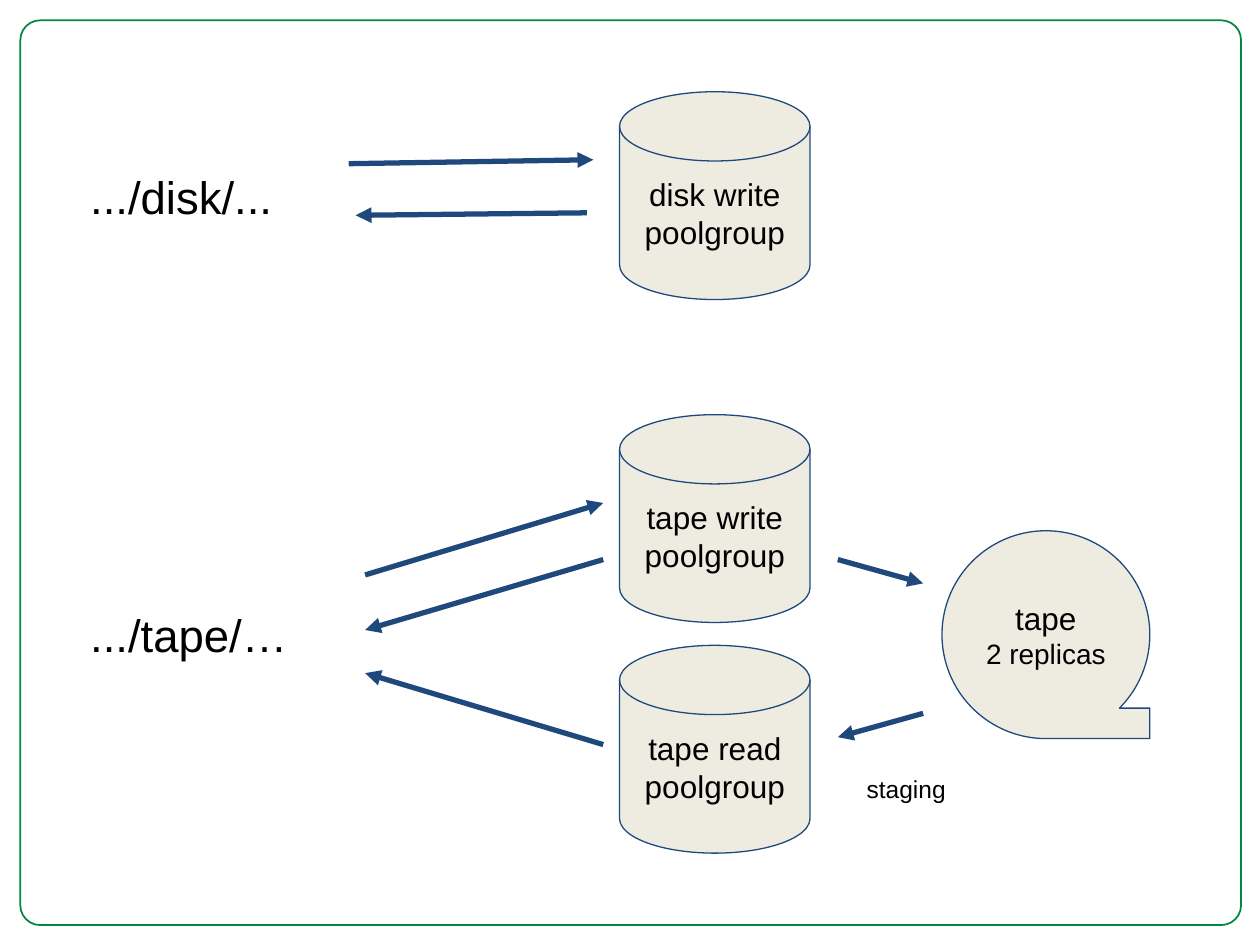
from lxml.etree import SubElement
from pptx import Presentation
from pptx.dml.color import RGBColor
from pptx.enum.shapes import MSO_CONNECTOR, MSO_SHAPE
from pptx.enum.text import MSO_ANCHOR, PP_ALIGN
from pptx.oxml.ns import qn
from pptx.util import Cm, Pt

COLORS = {"frame": "008741", "navy": "1F497D", "cream": "EEECE1", "text": "000000"}
FONT = "Arial"
LABEL_W = 5.41
POOL_X, POOL_W, POOL_H = 10.92, 3.84, 4.19
REEL_SIZE = 4.19


def color(name):
    return RGBColor.from_string(COLORS[name])


def write(sp, text, sizes, align=PP_ALIGN.LEFT, anchor=MSO_ANCHOR.MIDDLE):
    """Fill sp with text, one font size for each line."""
    tf = sp.text_frame
    tf.word_wrap = True
    tf.vertical_anchor = anchor
    tf.margin_left = tf.margin_right = tf.margin_top = tf.margin_bottom = Cm(0.25)
    tf.text = text
    for p, size in zip(tf.paragraphs, sizes):
        p.alignment = align
        for r in p.runs:
            r.font.name = FONT
            r.font.size = Pt(size)
            r.font.color.rgb = color("text")


def add_label(s, x, y, w, h, text, size, anchor=MSO_ANCHOR.MIDDLE):
    write(s.shapes.add_textbox(Cm(x), Cm(y), Cm(w), Cm(h)), text, [size], anchor=anchor)


def add_store(s, kind, x, y, w, h, text, sizes):
    sp = s.shapes.add_shape(kind, Cm(x), Cm(y), Cm(w), Cm(h))
    sp.shadow.inherit = False
    sp.fill.solid()
    sp.fill.fore_color.rgb = color("cream")
    sp.line.color.rgb = color("navy")
    sp.line.width = Pt(0.75)
    write(sp, text, sizes, PP_ALIGN.CENTER)


def add_pool(s, x, y, name):
    add_store(s, MSO_SHAPE.FLOWCHART_MAGNETIC_DISK, x + POOL_X, y, POOL_W, POOL_H,
              f"{name}\npoolgroup", [18, 18])


def add_arrows(s, x, y, arrows):
    """Draw arrows given as (x1, y1, x2, y2) relative to the region's corner."""
    for x1, y1, x2, y2 in arrows:
        line = s.shapes.add_connector(MSO_CONNECTOR.STRAIGHT, Cm(x + x1), Cm(y + y1),
                                      Cm(x + x2), Cm(y + y2))
        line.line.color.rgb = color("navy")
        line.line.width = Pt(3)
        SubElement(line.line._get_or_add_ln(), qn("a:tailEnd"), type="triangle")
        SubElement(line._element.spPr, qn("a:effectLst"))


def add_frame(s, x, y, w, h):
    sp = s.shapes.add_shape(MSO_SHAPE.ROUNDED_RECTANGLE, Cm(x), Cm(y), Cm(w), Cm(h))
    sp.adjustments[0] = 0.022
    sp.shadow.inherit = False
    sp.fill.background()
    sp.line.color.rgb = color("frame")
    sp.line.width = Pt(1)


def add_disk_region(s, x, y):
    add_label(s, x, y + 1.02, LABEL_W, 2.16, ".../disk/...", 26)
    add_pool(s, x, y, "disk write")
    add_arrows(s, x, y, [(5.46, 1.45, 10.39, 1.37), (10.26, 2.44, 5.6, 2.49)])


def add_tape_region(s, x, y):
    add_label(s, x, y + 2.77, LABEL_W, 3.3, ".../tape/…", 26)
    add_pool(s, x, y, "tape write")
    add_pool(s, x, y + 4.65, "tape read")
    add_store(s, MSO_SHAPE.FLOWCHART_SEQUENTIAL_ACCESS_STORAGE, x + 17.42, y + 2.34,
              REEL_SIZE, REEL_SIZE, "tape\n2 replicas", [18, 16])
    label_side, pool_left, pool_right, reel_side = 5.79, 10.59, 15.32, 17.04
    add_arrows(s, x, y, [
        (label_side, 3.23, pool_left, 1.78),
        (pool_left, 2.92, label_side, 4.34),
        (pool_left, 6.65, label_side, 5.21),
        (pool_right, 2.92, reel_side, 3.4),
        (reel_side, 6.02, pool_right, 6.5),
    ])
    add_label(s, x + 15.65, y + 6.99, 2.59, 1.19, "staging", 14, MSO_ANCHOR.TOP)


def main():
    prs = Presentation()
    prs.slide_width, prs.slide_height = Cm(25.4), Cm(19.05)
    s = prs.slides.add_slide(prs.slide_layouts[6])
    add_frame(s, 0.41, 0.41, 24.61, 18.24)
    add_disk_region(s, 1.57, 1.85)
    add_tape_region(s, 1.57, 8.36)
    prs.save("out.pptx")


if __name__ == "__main__":
    main()
